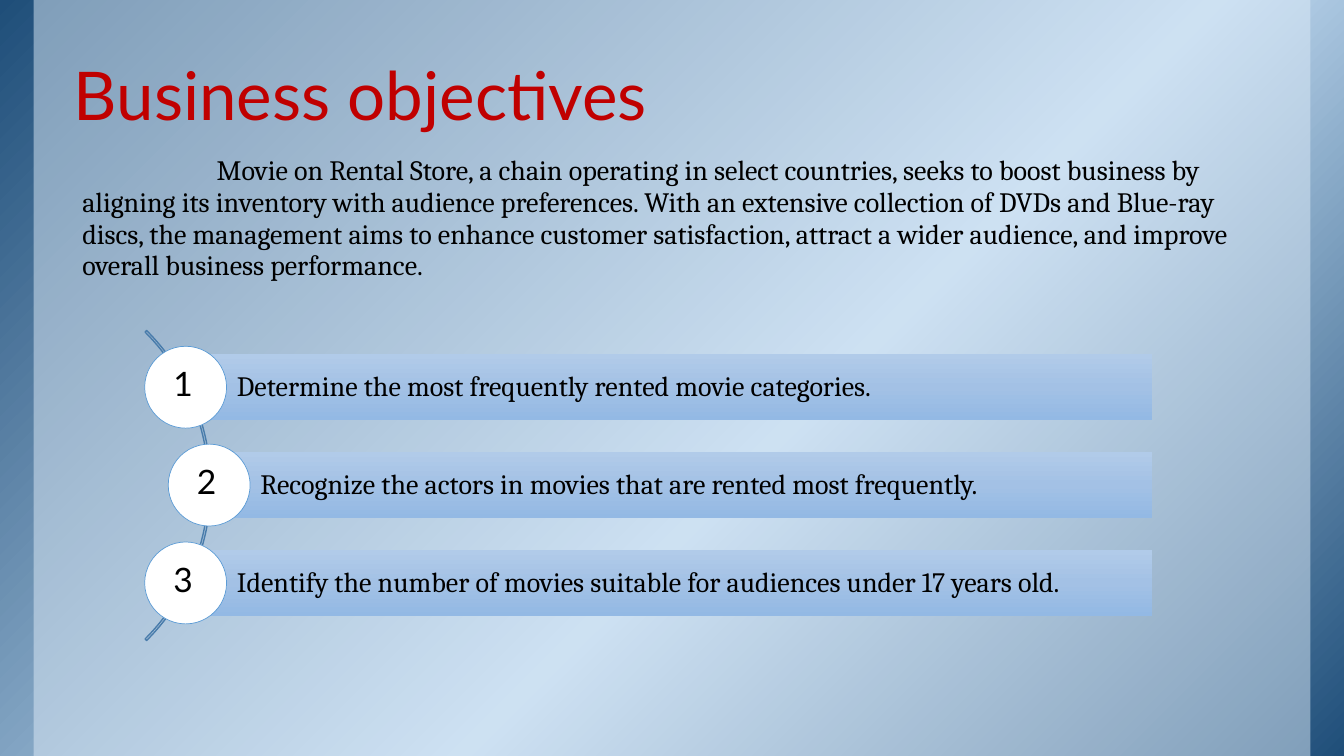
from lxml.etree import SubElement
from pptx import Presentation
from pptx.dml.color import RGBColor as Color
from pptx.enum.shapes import MSO_SHAPE as Shape
from pptx.enum.text import MSO_ANCHOR as Anchor, MSO_AUTO_SIZE as AutoSize
from pptx.oxml.ns import qn
from pptx.util import Inches, Pt

THEME = {
    "heading_font": "Lato", "body_font": "Cambria",
    "title_size": 48, "body_size": 20, "number_size": 24,
    "title": "C00000", "ink": "000000",
    "backdrop": [(0, "1F4E79"), (58, "BDD7EE"), (100, "1F4E79")],
    "panel": "DEEBF7", "arc": "497CAB",
    "bar": [(0, "B1CBE9"), (50, "A3C1E5"), (100, "93B9E4")],
    "circle": "FFFFFF", "ring": "5B9BD5",
}

deck = Presentation()
deck.slide_width, deck.slide_height = Inches(13.33), Inches(7.5)
COLUMN, ROW = deck.slide_width / 160, deck.slide_height / 90
page = deck.slides.add_slide(deck.slide_layouts[6])


def add_block(kind, left, top, width, height, fill=None, angle=0, line=None, weight=1):
    block = page.shapes.add_shape(
        kind, int(left * COLUMN), int(top * ROW), int(width * COLUMN), int(height * ROW))
    block.shadow.inherit = False
    if isinstance(fill, list):
        block.fill.gradient()
        block.fill.gradient_angle = -angle % 360
        stops = block.fill._fill._gradFill.find(qn("a:gsLst"))
        for stop in list(stops):
            stops.remove(stop)
        for position, color in fill:
            stop = SubElement(stops, qn("a:gs"), pos=str(position * 1000))
            SubElement(stop, qn("a:srgbClr"), val=color)
    elif fill:
        block.fill.solid()
        block.fill.fore_color.rgb = Color.from_string(fill)
    else:
        block.fill.background()
    if line:
        block.line.color.rgb = Color.from_string(line)
        block.line.width = Pt(weight)
    else:
        block.line.fill.background()
    return block


def add_text(text, left, top, width, height, font="body_font", size="body_size", color="ink",
             anchor=Anchor.TOP, spacing=0.95, insets=(1.2, 0.6), first_line=0, wrap=True):
    box = page.shapes.add_textbox(
        int(left * COLUMN), int(top * ROW), int(width * COLUMN), int(height * ROW))
    frame = box.text_frame
    frame.word_wrap, frame.auto_size = wrap, AutoSize.NONE
    frame.vertical_anchor = anchor
    frame.margin_left = frame.margin_right = int(insets[0] * COLUMN)
    frame.margin_top = frame.margin_bottom = int(insets[1] * ROW)
    para = frame.paragraphs[0]
    para.line_spacing = spacing
    if first_line:
        para._p.get_or_add_pPr().set("indent", str(int(first_line * COLUMN)))
    span = para.add_run()
    span.text = text
    span.font.name, span.font.size = THEME[font], Pt(THEME[size])
    span.font.color.rgb = Color.from_string(THEME[color])


add_block(Shape.RECTANGLE, 0, 0, 160, 90, fill=THEME["backdrop"], angle=45)
panel = add_block(Shape.RECTANGLE, 4, 0, 152, 90, fill=THEME["panel"])
panel_color = panel.fill._xPr.find(qn("a:solidFill")).find(qn("a:srgbClr"))
SubElement(panel_color, qn("a:alpha"), val="50000")

add_text("Business objectives", 7.2, 4.8, 98.4, 12.1, font="heading_font", size="title_size",
         color="title", anchor=Anchor.BOTTOM, spacing=0.85, insets=(1.6, 0.9))
add_text("Movie on Rental Store, a chain operating in select countries, seeks to boost business by "
         "aligning its inventory with audience preferences. With an extensive collection of DVDs "
         "and Blue-ray discs, the management aims to enhance customer satisfaction, attract a "
         "wider audience, and improve overall business performance.",
         8.2, 17.5, 143.6, 17.6, insets=(1.6, 0.9), first_line=16)

arc = add_block(Shape.BLOCK_ARC, -27.1, 31.7, 52.2, 52.2, line=THEME["arc"])
for index, value in enumerate((189, 27, 0.005)):
    arc.adjustments[index] = value

OBJECTIVES = [
    ("Determine the most frequently rented movie categories.", 22.1),
    ("Recognize the actors in movies that are rented most frequently.", 24.9),
    ("Identify the number of movies suitable for audiences under 17 years old.", 22.1),
]
BAR_RIGHT, BAR_HEIGHT, DIAMETER = 137.2, 7.8, 9.75
FIRST_TOP, PITCH = 42.2, 11.65

for index, (objective, left) in enumerate(OBJECTIVES):
    top = FIRST_TOP + index * PITCH
    bar = (left, top, BAR_RIGHT - left, BAR_HEIGHT)
    circle_left = left - DIAMETER / 2
    circle_top = top + (BAR_HEIGHT - DIAMETER) / 2
    add_block(Shape.RECTANGLE, *bar, fill=THEME["bar"], angle=90)
    add_text(objective, *bar, anchor=Anchor.MIDDLE, spacing=0.9, insets=(6.1, 0.8))
    add_block(Shape.OVAL, circle_left, circle_top, DIAMETER, DIAMETER,
              fill=THEME["circle"], line=THEME["ring"], weight=0.5)
    add_text(str(index + 1), circle_left + 2.2, circle_top + 1.8, 4.7, 5.8,
             font="heading_font", size="number_size", wrap=False)

deck.save("out.pptx")
